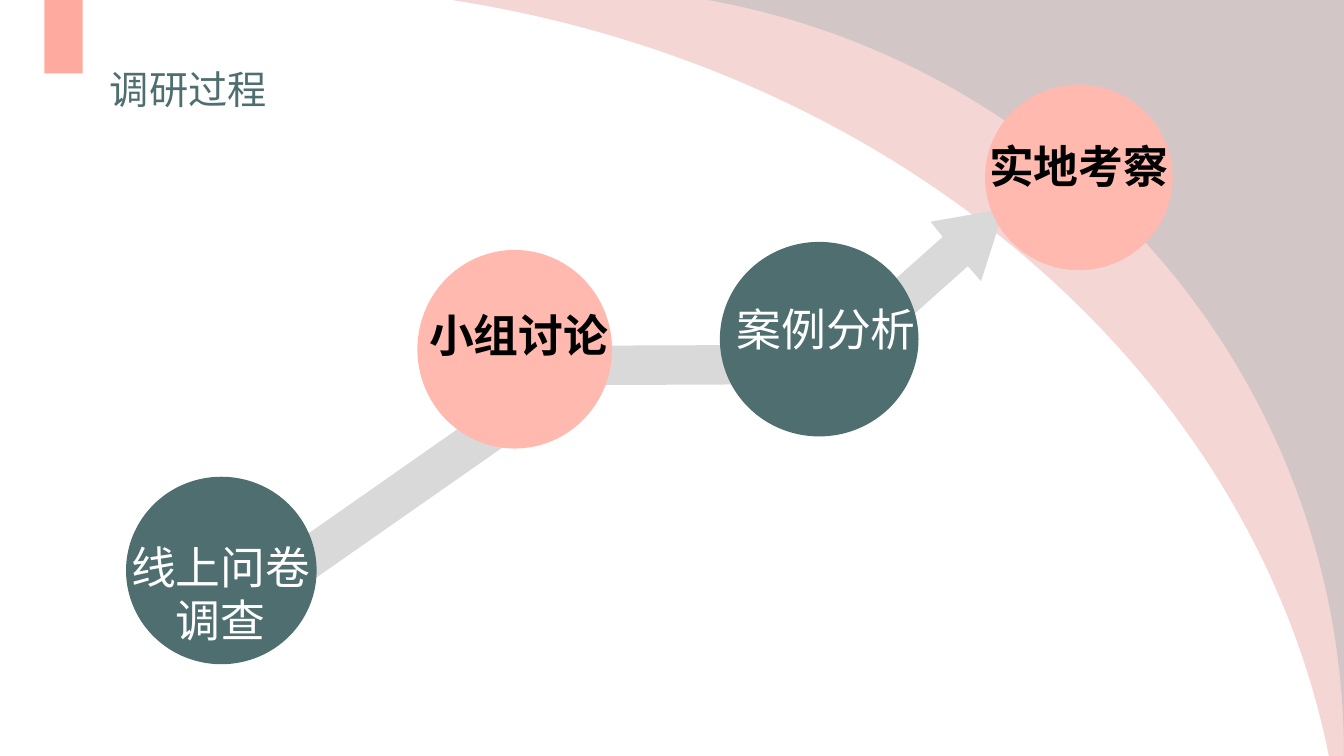
from lxml import etree
from pptx import Presentation
from pptx.dml.color import RGBColor
from pptx.enum.shapes import MSO_SHAPE
from pptx.enum.text import MSO_ANCHOR, PP_ALIGN
from pptx.oxml.ns import qn
from pptx.util import Inches, Pt

OVAL, RECTANGLE = MSO_SHAPE.OVAL, MSO_SHAPE.RECTANGLE
LEFT, CENTER = PP_ALIGN.LEFT, PP_ALIGN.CENTER
TOP = MSO_ANCHOR.TOP
FONT = "Noto Sans CJK SC"
TEAL = RGBColor(0x4F, 0x6E, 0x70)
PINK = RGBColor(0xFF, 0xB9, 0xAF)
CORAL = RGBColor(0xFF, 0xAA, 0x9F)
ROSE = RGBColor(0xDA, 0x6D, 0x6A)
GREY = RGBColor(0xBF, 0xBF, 0xBF)
ARROW_GREY = RGBColor(0xD9, 0xD9, 0xD9)
WHITE = RGBColor(0xFF, 0xFF, 0xFF)
BLACK = RGBColor(0, 0, 0)


def write(holder, text, *, size, color, bold=False, align=CENTER, wrap=True):
    frame = holder.text_frame
    frame.word_wrap = wrap
    frame.vertical_anchor = TOP
    frame.margin_left = frame.margin_right = Inches(0.1)
    frame.margin_top = frame.margin_bottom = Inches(0.05)
    paragraph = frame.paragraphs[0]
    paragraph.alignment = align
    run = paragraph.add_run()
    run.text = text
    run.font.size, run.font.bold, run.font.name = Pt(size), bold, FONT
    run.font.color.rgb = color
    etree.SubElement(run.font._element, qn("a:ea")).set("typeface", FONT)


def paint(shape, color, opacity=100):
    shape.shadow.inherit = False
    shape.line.fill.background()
    shape.fill.solid()
    shape.fill.fore_color.rgb = color
    if opacity < 100:
        fill_color = shape.fill._xPr.find(qn("a:solidFill"))[0]
        etree.SubElement(fill_color, qn("a:alpha")).set("val", str(opacity * 1000))


prs = Presentation()
prs.slide_width, prs.slide_height = Inches(13.33), Inches(7.5)
slide = prs.slides.add_slide(prs.slide_layouts[5])
shapes = slide.shapes

# Curved corner bands: outline from the top right corner, fill, opacity
bands = [
    ([(13.33, 0), (13.33, 7.5), (13.18, 7.5),
      (12.42, 3.71), (8.93, 0.69), (4.48, 0)], ROSE, 28),
    ([(13.33, 0), (13.33, 7.5), (13.33, 7.5),
      (13.33, 3.76), (10.62, 0.65), (7.02, 0)], GREY, 64),
]
for outline, color, opacity in bands:
    points = [(Inches(x), Inches(y)) for x, y in outline]
    builder = shapes.build_freeform(*points[0])
    builder.add_line_segments(points[1:])
    band = builder.convert_to_shape()
    # The last three points before closing become one Bezier curve
    curve_lines = list(band._element.iter(qn("a:lnTo")))[2:5]
    curve = etree.Element(qn("a:cubicBezTo"))
    curve_lines[0].addprevious(curve)
    for line in curve_lines:
        curve.append(line[0])
        line.getparent().remove(line)
    paint(band, color, opacity)

# Title and its tab
title = shapes.title
title.left, title.top = Inches(0.99), Inches(0.6)
title.width, title.height = Inches(1.76), Inches(0.57)
write(title, "调研过程", size=28, color=TEAL, align=LEFT, wrap=False)
tab = shapes.add_shape(RECTANGLE, Inches(0.44), 0, Inches(0.38), Inches(0.73))
paint(tab, CORAL)

# Bent arrow linking the steps
arrow_outline = [
    (5.72, 3.43), (8.15, 3.42), (9.35, 2.35), (9.23, 2.2), (9.96, 2.07), (9.73, 2.79),
    (9.6, 2.64), (8.29, 3.81), (5.87, 3.82), (1.95, 6.56), (1.72, 6.23),
]
arrow_points = [(Inches(x), Inches(y)) for x, y in arrow_outline]
arrow = shapes.build_freeform(*arrow_points[0])
arrow.add_line_segments(arrow_points[1:])
paint(arrow.convert_to_shape(), ARROW_GREY)

# Steps: text, circle box, label box; teal and pink alternate
steps = [
    ("线上问卷调查", (1.25, 4.73, 1.89, 1.86), (1.07, 5.3, 2.24, 1.18)),
    ("小组讨论", (4.14, 2.48, 1.93, 1.97), (4.14, 3, 2.01, 0.73)),
    ("案例分析", (7.14, 2.4, 1.97, 1.93), (7.05, 2.94, 2.29, 0.63)),
    ("实地考察", (9.77, 0.84, 1.86, 1.84), (9.59, 1.33, 2.22, 0.75)),
]
for index, (text, circle_box, label_box) in enumerate(steps):
    is_pink = index % 2 == 1
    step_group = shapes.add_group_shape().shapes
    circle = step_group.add_shape(OVAL, *map(Inches, circle_box))
    paint(circle, PINK if is_pink else TEAL)
    label = step_group.add_textbox(*map(Inches, label_box))
    write(label, text, size=32, color=BLACK if is_pink else WHITE, bold=is_pink)

prs.save("out.pptx")
